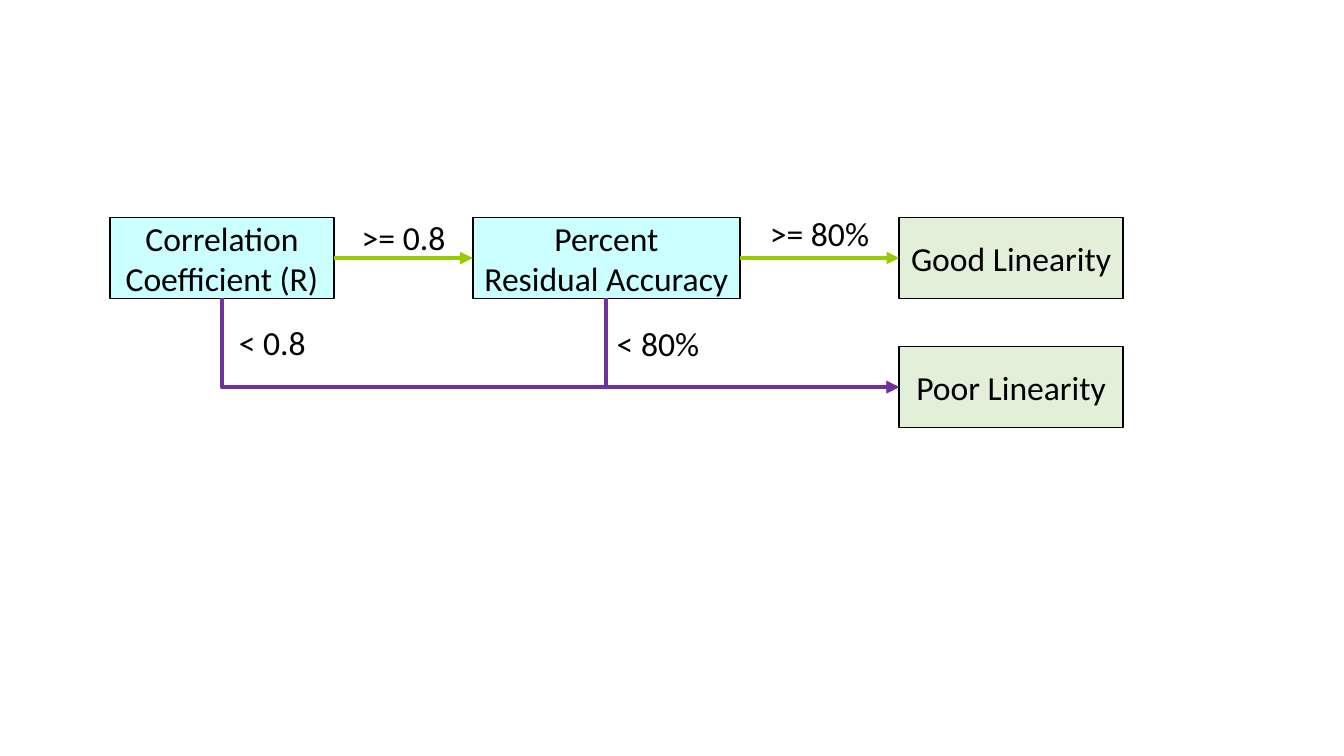
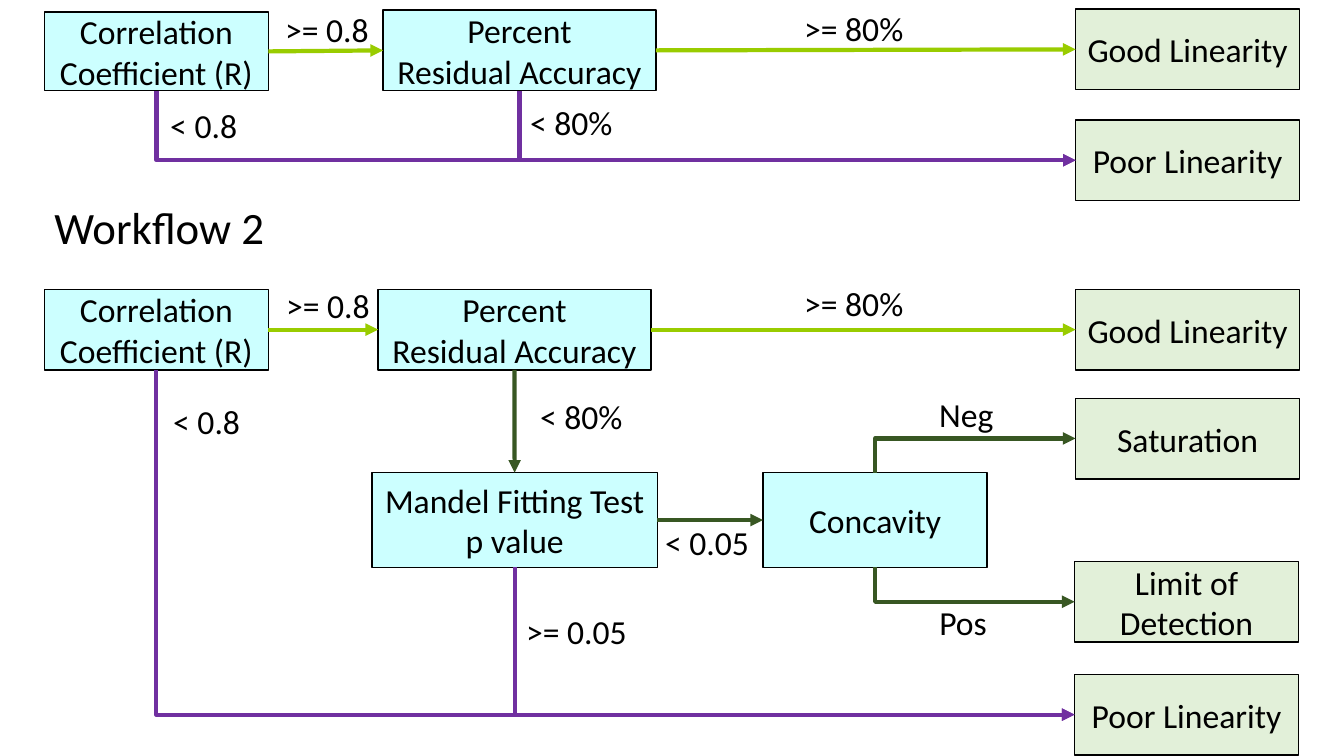
from dataclasses import dataclass
from typing import NamedTuple

from lxml import etree
from pptx import Presentation
from pptx.dml import color as dml
from pptx.enum import shapes, text
from pptx.oxml import ns
from pptx import util as u


@dataclass(frozen=True)
class Theme:
    font: str = "Calibri"
    ink: str = "000000"
    test: str = "CCFFFF"
    end: str = "E2F0D9"
    good: str = "99CC00"
    bad: str = "7030A0"
    more: str = "385723"
    size: int = 24
    head: int = 32
    edge: int = 1
    line: int = 3


class Box(NamedTuple):
    name: str
    x: float
    y: float
    w: float = 16.67
    h: float = 10.67


class Tag(NamedTuple):
    words: str
    x: float
    y: float


class Link(NamedTuple):
    start: str
    side: int
    goal: str
    port: int
    hue: str


class Flow(NamedTuple):
    boxes: tuple[Box, ...]
    tags: tuple[Tag, ...]
    links: tuple[Link, ...]


LOOK = Theme()
TOP, LEFT, DOWN, RIGHT = range(4)
ALIGN = text.PP_ALIGN
TAG_H = 6.67

CARDS = {
    "coef": (("Correlation Coefficient (R)",), LOOK.test),
    "acc": (("Percent Residual\u00a0Accuracy",), LOOK.test),
    "fit": (("Mandel Fitting Test", "p value"), LOOK.test),
    "cave": (("Concavity",), LOOK.test),
    "good": (("Good Linearity",), LOOK.end),
    "poor": (("Poor Linearity",), LOOK.end),
    "sat": (("Saturation",), LOOK.end),
    "lod": (("Limit of Detection",), LOOK.end),
}

WIDE = {
    ">= 0.8": 8.5, "< 0.8": 7.65, ">= 80%": 9.6, "< 80%": 7.9,
    "< 0.05": 7.9, ">= 0.05": 10.05, "Pos": 5.8, "Neg": 5.93,
}

PASS = (
    Link("coef", RIGHT, "acc", LEFT, LOOK.good),
    Link("acc", RIGHT, "good", LEFT, LOOK.good),
)
FAIL = Link("coef", DOWN, "poor", LEFT, LOOK.bad)
BASE = PASS + (Link("acc", DOWN, "poor", LEFT, LOOK.bad), FAIL)
FULL = PASS + (
    Link("acc", DOWN, "fit", TOP, LOOK.more),
    Link("fit", RIGHT, "cave", LEFT, LOOK.more),
    Link("cave", TOP, "sat", LEFT, LOOK.more),
    Link("cave", DOWN, "lod", LEFT, LOOK.more),
    Link("fit", DOWN, "poor", LEFT, LOOK.bad),
    FAIL,
)

FIRST = Flow(
    (Box("coef", 8.18, 28.8), Box("acc", 35.18, 28.8, 19.88),
     Box("good", 66.9, 28.8), Box("poor", 66.9, 45.87)),
    (Tag(">= 0.8", 26.18, 28), Tag("< 0.8", 17.03, 41.87),
     Tag("< 80%", 45.15, 42), Tag(">= 80%", 56.55, 27.47)),
    BASE,
)
SHORT = Flow(
    (Box("coef", 3.3, 1.6, h=10.4), Box("acc", 28.5, 1.33, 20.3),
     Box("good", 80.03, 1.2), Box("poor", 80.03, 15.87)),
    (Tag(">= 0.8", 20.48, 0.53), Tag("< 0.8", 11.93, 13.2),
     Tag("< 80%", 38.7, 12.8), Tag(">= 80%", 59.1, 0.4)),
    BASE,
)
LONG = Flow(
    (Box("coef", 3.3, 38.27), Box("acc", 28.13, 38.27, 20.3),
     Box("fit", 27.68, 62.53, 21.23, 12.53),
     Box("cave", 56.78, 62.53, h=12.53),
     Box("good", 80.03, 38.27), Box("sat", 80.03, 52.67),
     Box("lod", 79.95, 74.27), Box("poor", 79.95, 89.2)),
    (Tag(">= 0.8", 20.55, 37.07), Tag("< 0.8", 12.15, 52.4),
     Tag(">= 80%", 59.1, 36.8), Tag("< 0.05", 48.75, 68.4),
     Tag("< 80%", 39.45, 51.73), Tag(">= 0.05", 38.4, 80.13),
     Tag("Pos", 69.15, 78.93), Tag("Neg", 68.93, 51.47)),
    FULL,
)

deck = Presentation()
deck.slide_width, deck.slide_height = u.Inches(13.33), u.Inches(7.5)


def area(x: float, y: float, w: float, h: float) -> tuple[int, ...]:
    col, row = deck.slide_width / 100, deck.slide_height / 100
    return round(x * col), round(y * row), round(w * col), round(h * row)


def tint(hue: str) -> dml.RGBColor:
    return dml.RGBColor.from_string(hue)


def write(frame, lines: tuple[str, ...], size: int, align) -> None:
    frame.word_wrap = True
    for i, words in enumerate(lines):
        para = frame.add_paragraph() if i else frame.paragraphs[0]
        para.alignment = align
        run = para.add_run()
        run.text = words
        run.font.name, run.font.size = LOOK.font, u.Pt(size)
        run.font.color.rgb = tint(LOOK.ink)


def draw_box(slide, box: Box):
    lines, fill = CARDS[box.name]
    shape = slide.shapes.add_shape(shapes.MSO_SHAPE.RECTANGLE, *area(*box[1:]))
    shape.shadow.inherit = False
    shape.fill.solid()
    shape.fill.fore_color.rgb = tint(fill)
    shape.line.color.rgb = tint(LOOK.ink)
    shape.line.width = u.Pt(LOOK.edge)
    shape.text_frame.vertical_anchor = text.MSO_ANCHOR.MIDDLE
    write(shape.text_frame, lines, LOOK.size, ALIGN.CENTER)
    return shape


def draw_tag(slide, tag: Tag) -> None:
    spot = area(tag.x, tag.y, WIDE[tag.words], TAG_H)
    frame = slide.shapes.add_textbox(*spot).text_frame
    align = ALIGN.CENTER if tag.words == "Neg" else ALIGN.LEFT
    write(frame, (tag.words,), LOOK.size, align)


def bend(wire) -> None:
    x, y = wire.begin_x, wire.begin_y
    wide, tall = wire.end_x - x, wire.end_y - y
    high = abs(tall)
    wire.left = x + (wide - high) // 2
    wire.top = y + (tall - wide) // 2
    wire.width, wire.height = high, wide
    props = wire._element.spPr
    frame = props.find(ns.qn("a:xfrm"))
    frame.set("rot", "16200000" if tall > 0 else "5400000")
    frame.set("flipH", "1")
    frame.set("flipV", "0" if tall > 0 else "1")
    props.find(ns.qn("a:prstGeom")).set("prst", "bentConnector2")


def draw_link(slide, link: Link, nodes: dict) -> None:
    bent = link.side in (TOP, DOWN) and link.port == LEFT
    kinds = shapes.MSO_CONNECTOR
    kind = kinds.ELBOW if bent else kinds.STRAIGHT
    wire = slide.shapes.add_connector(kind, 0, 0, 0, 0)
    wire.begin_connect(nodes[link.start], link.side)
    wire.end_connect(nodes[link.goal], link.port)
    if bent:
        bend(wire)
    wire.line.color.rgb = tint(link.hue)
    wire.line.width = u.Pt(LOOK.line)
    props = wire._element.spPr
    stroke = props.find(ns.qn("a:ln"))
    etree.SubElement(stroke, ns.qn("a:tailEnd"), type="triangle")
    etree.SubElement(props, ns.qn("a:effectLst"))


def draw_flow(slide, flow: Flow) -> None:
    nodes = {box.name: draw_box(slide, box) for box in flow.boxes}
    for link in flow.links:
        draw_link(slide, link, nodes)
    for tag in flow.tags:
        draw_tag(slide, tag)


def draw_head(slide, words: str) -> None:
    head = slide.shapes.title
    head.left, head.top, head.width, head.height = area(3.3, 25.73, 17.18, 8.53)
    frame = head.text_frame
    frame.auto_size = text.MSO_AUTO_SIZE.NONE
    frame.vertical_anchor = text.MSO_ANCHOR.TOP
    write(frame, (words,), LOOK.head, ALIGN.LEFT)


plain = deck.slides.add_slide(deck.slide_layouts[6])
draw_flow(plain, FIRST)

pair = deck.slides.add_slide(deck.slide_layouts[5])
draw_head(pair, "Workflow 2")
for flow in (SHORT, LONG):
    draw_flow(pair, flow)

deck.save("out.pptx")
